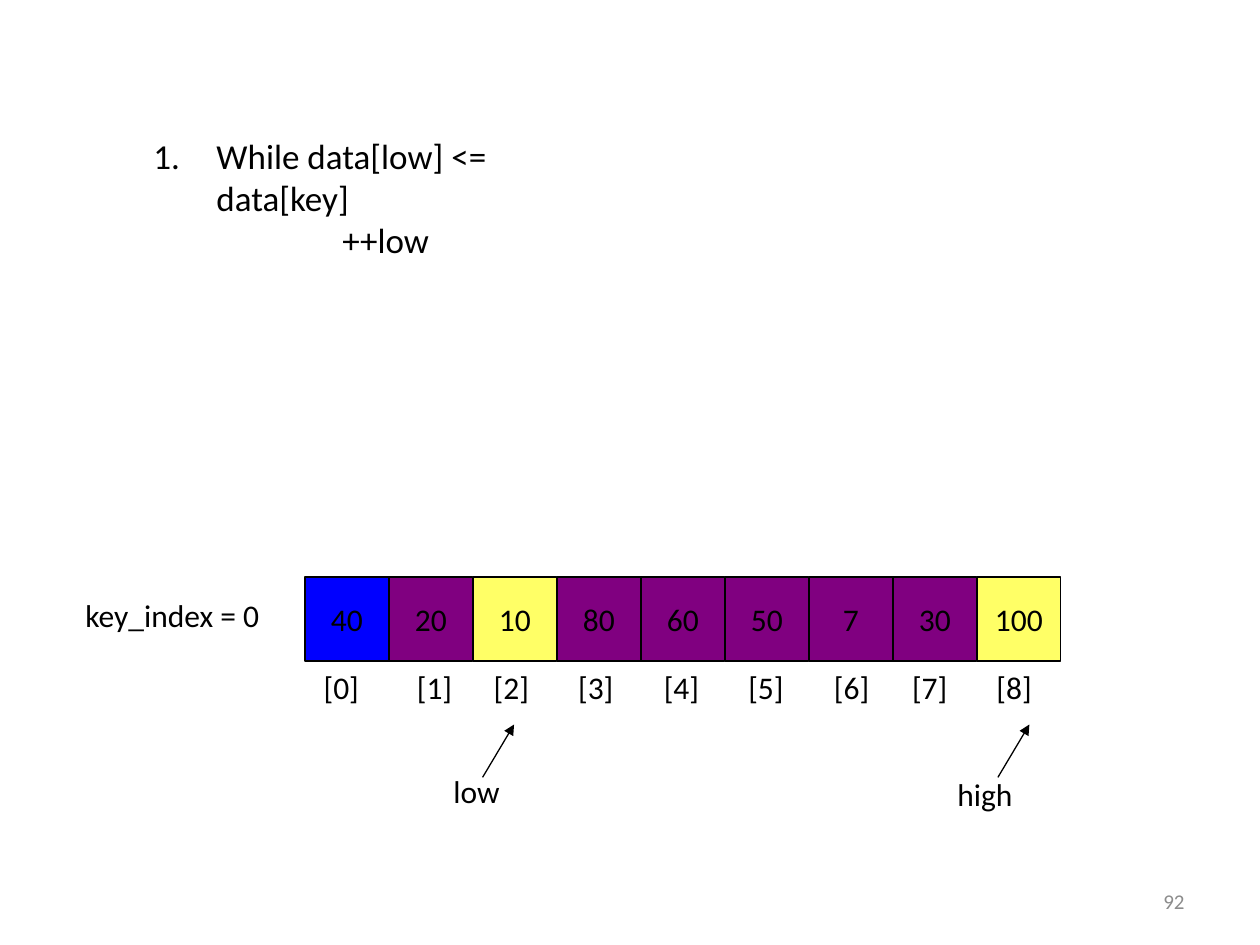
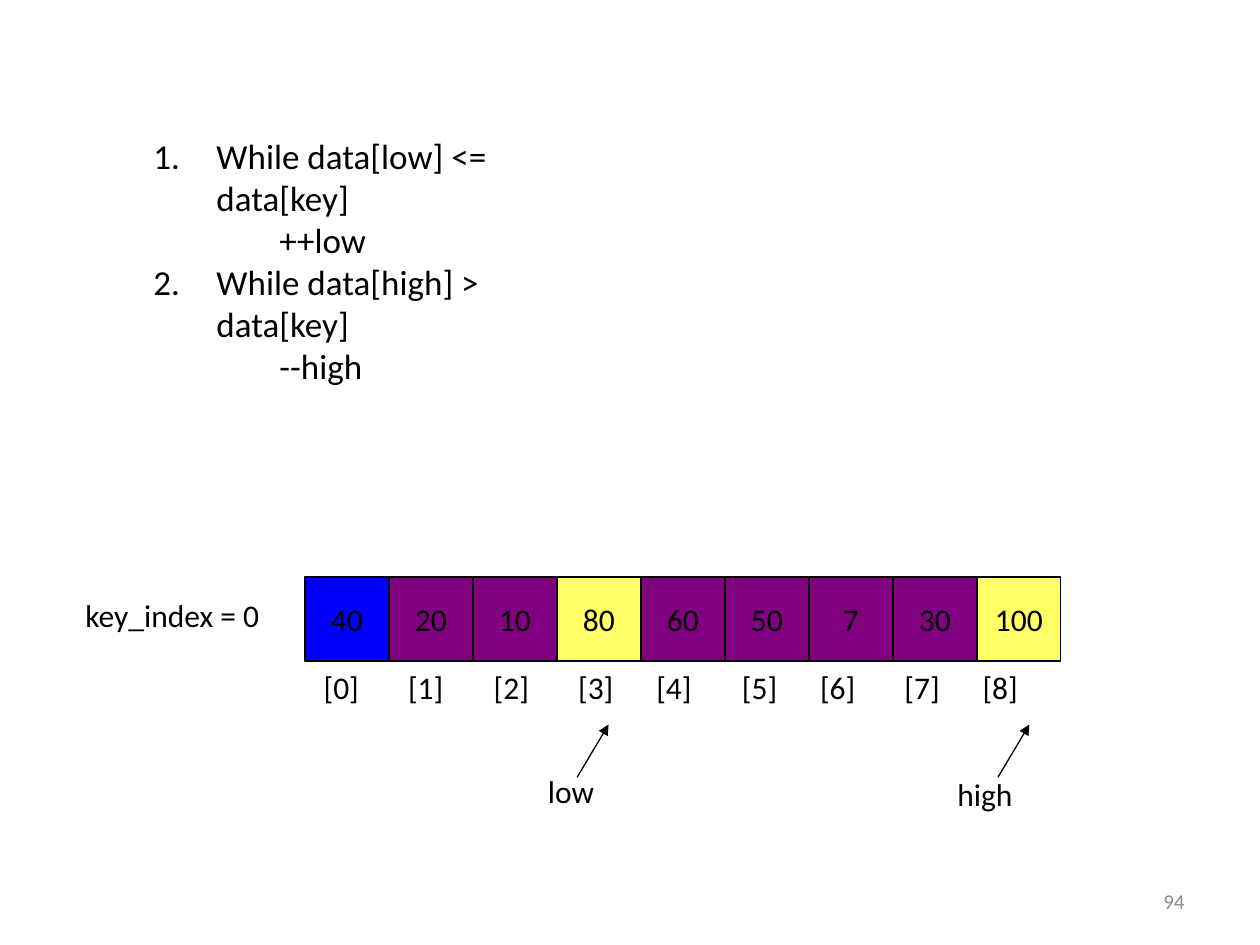
from dataclasses import dataclass

from pptx import Presentation
from pptx.dml.color import RGBColor
from pptx.enum.shapes import MSO_CONNECTOR, MSO_SHAPE
from pptx.enum.text import MSO_ANCHOR, PP_ALIGN
from pptx.oxml.ns import qn
from pptx.util import Inches, Pt
from lxml.etree import SubElement

BLACK = RGBColor(0x00, 0x00, 0x00)
GRAY = RGBColor(0x8C, 0x8C, 0x8C)
BLUE = RGBColor(0x00, 0x00, 0xFF)
PURPLE = RGBColor(0x80, 0x00, 0x80)
YELLOW = RGBColor(0xFF, 0xFF, 0x66)
FONT = "Calibri"

DATA = [40, 20, 10, 80, 60, 50, 7, 30, 100]
KEY = 0
ARRAY_LEFT, ARRAY_TOP, CELL = 2.42, 4.58, 2 / 3
ARROW_START, ARROW_END, ARROW_RUN = 6.17, 5.75, 0.25


@dataclass
class Pointer:
    label: str
    left: float
    top: float
    width: float
    arrow_offset: float


@dataclass
class Step:
    condition: str
    action: str


@dataclass
class Frame:
    number: int
    low: int
    high: int
    low_pointer: Pointer
    index_stops: list[float]
    steps: list[Step]
    steps_height: float
    action_indent: float


def add_run(p, text: str, size: int = 18, color: RGBColor = BLACK) -> None:
    r = p.add_run()
    r.text = text
    r.font.name = FONT
    r.font.size = Pt(size)
    r.font.color.rgb = color


def add_box(s, left: float, top: float, width: float, height: float = 0.4):
    tf = s.shapes.add_textbox(Inches(left), Inches(top), Inches(width), Inches(height)).text_frame
    tf.word_wrap = True
    return tf


def add_label(s, text: str, left: float, top: float, width: float) -> None:
    add_run(add_box(s, left, top, width).paragraphs[0], text)


def add_array(s, frame: Frame) -> None:
    for i, value in enumerate(DATA):
        sp = s.shapes.add_shape(
            MSO_SHAPE.RECTANGLE, Inches(ARRAY_LEFT + i * CELL), Inches(ARRAY_TOP), Inches(CELL), Inches(CELL)
        )
        sp.shadow.inherit = False
        sp.fill.solid()
        marked = YELLOW if i in (frame.low, frame.high) else PURPLE
        sp.fill.fore_color.rgb = BLUE if i == KEY else marked
        sp.line.color.rgb = BLACK
        sp.line.width = Pt(0.75)
        tf = sp.text_frame
        tf.word_wrap = False
        tf.vertical_anchor = MSO_ANCHOR.MIDDLE
        p = tf.paragraphs[0]
        p.alignment = PP_ALIGN.CENTER
        add_run(p, str(value))


def add_indices(s, stops: list[float]) -> None:
    p = add_box(s, 2.47, 5.25, 5.98).paragraphs[0]
    tabs = SubElement(p._p.get_or_add_pPr(), qn("a:tabLst"))
    for stop in stops:
        SubElement(tabs, qn("a:tab"), pos=str(Inches(stop)), algn="l")
    add_run(p, "\t".join(f"[{i}]" for i in range(len(DATA))))


def add_pointer(s, pointer: Pointer) -> None:
    add_label(s, pointer.label, pointer.left, pointer.top, pointer.width)
    x = pointer.left + pointer.arrow_offset
    c = s.shapes.add_connector(
        MSO_CONNECTOR.STRAIGHT, Inches(x), Inches(ARROW_START), Inches(x + ARROW_RUN), Inches(ARROW_END)
    )
    c.line.color.rgb = BLACK
    c.line.width = Pt(0.75)
    SubElement(c.line._get_or_add_ln(), qn("a:tailEnd"), type="triangle")
    SubElement(c._element.spPr, qn("a:effectLst"))


def add_steps(s, frame: Frame) -> None:
    tf = add_box(s, 1.12, 1.02, 3.73, frame.steps_height)
    for i, step in enumerate(frame.steps):
        p = tf.add_paragraph() if i else tf.paragraphs[0]
        pPr = p._p.get_or_add_pPr()
        pPr.set("marL", str(Inches(0.5)))
        pPr.set("indent", str(Inches(-0.5)))
        SubElement(pPr, qn("a:buFont"), typeface="+mj-lt")
        SubElement(pPr, qn("a:buAutoNum"), type="arabicPeriod")
        add_run(p, step.condition, 20)
        p = tf.add_paragraph()
        p.level = 1
        pPr = p._p.get_or_add_pPr()
        pPr.set("marL", str(Inches(frame.action_indent)))
        pPr.set("indent", "0")
        add_run(p, step.action, 20)


def add_slide_number(s, number: int) -> None:
    tf = add_box(s, 7.17, 6.95, 2.33)
    tf.vertical_anchor = MSO_ANCHOR.MIDDLE
    p = tf.paragraphs[0]
    p.alignment = PP_ALIGN.RIGHT
    add_run(p, str(number), 12, GRAY)


def add_frame(prs, frame: Frame) -> None:
    s = prs.slides.add_slide(prs.slide_layouts[6])
    add_array(s, frame)
    add_label(s, "key_index = 0", 0.58, 4.68, 1.6)
    add_indices(s, frame.index_stops)
    add_pointer(s, frame.low_pointer)
    add_pointer(s, HIGH_POINTER)
    add_steps(s, frame)
    add_slide_number(s, frame.number)


HIGH_POINTER = Pointer("high", 7.5, 6.1, 0.75, 0.42)
RAISE_LOW = Step("While data[low] <= data[key]", "++low")
LOWER_HIGH = Step("While data[high] > data[key]", "--high")
FRAMES = [
    Frame(
        92, 2, 8, Pointer("low", 3.5, 6.08, 0.83, 0.33),
        [0.74, 1.35, 2.02, 2.7, 3.37, 4.05, 4.67, 5.34],
        [RAISE_LOW], 1.08, 1.5,
    ),
    Frame(
        94, 3, 8, Pointer("low", 4.25, 6.08, 0.83, 0.33),
        [0.67, 1.35, 2.02, 2.64, 3.32, 3.94, 4.61, 5.23],
        [RAISE_LOW, LOWER_HIGH], 2.46, 1.0,
    ),
]

prs = Presentation()
prs.slide_width = Inches(10)
prs.slide_height = Inches(7.5)
for frame in FRAMES:
    add_frame(prs, frame)
prs.save("out.pptx")
